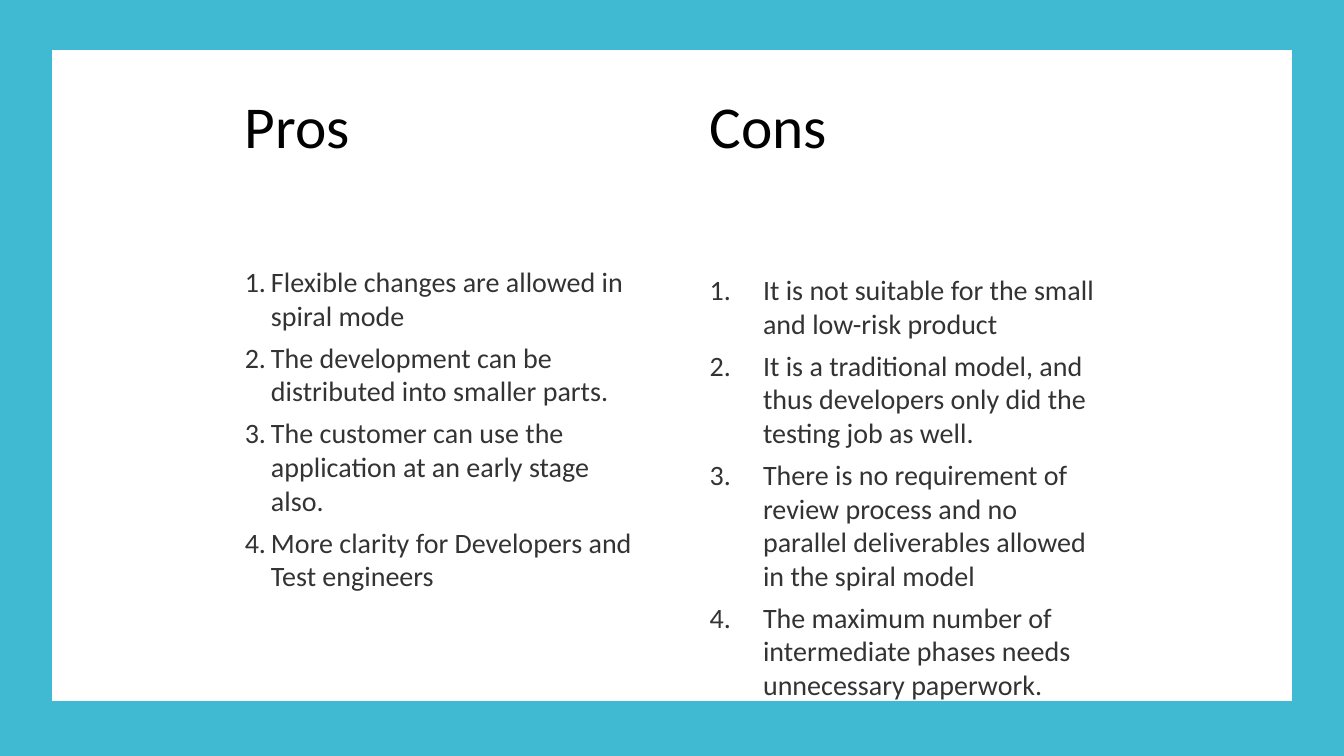
from lxml.etree import SubElement
from pptx import Presentation
from pptx.dml.color import RGBColor
from pptx.enum.shapes import MSO_SHAPE as Shape
from pptx.enum.text import MSO_ANCHOR as Anchor
from pptx.oxml.ns import qn
from pptx.util import Inches, Pt


def color(value):
    return RGBColor.from_string(value)


class ComparisonPage:
    font = "Calibri"
    teal, white, black, gray = "40BAD2", "FFFFFF", "000000", "333333"
    column_width = 4.06

    def __init__(self, deck):
        self.page = deck.slides.add_slide(deck.slide_layouts[6])

    def panel(self, left, top, width, height, fill, line=None):
        panel = self.page.shapes.add_shape(
            Shape.RECTANGLE, Inches(left), Inches(top), Inches(width), Inches(height))
        panel.shadow.inherit = False
        panel.fill.solid()
        panel.fill.fore_color.rgb = color(fill)
        if line:
            panel.line.color.rgb = color(line)
            panel.line.width = Pt(0.85)
        else:
            panel.line.fill.background()

    def text(self, left, top, height, lines, size, ink, anchor=Anchor.TOP):
        box = self.page.shapes.add_textbox(
            Inches(left), Inches(top), Inches(self.column_width), Inches(height))
        frame = box.text_frame
        frame.word_wrap = True
        frame.vertical_anchor = anchor
        frame.text = "\n".join(lines)
        for para in frame.paragraphs:
            para.space_after = Pt(6)
            for span in para.runs:
                span.font.name = self.font
                span.font.size = Pt(size)
                span.font.color.rgb = color(ink)
        return frame

    def heading(self, left, title):
        self.text(left, 0.84, 0.94, [title], 42.4, self.black)

    def numbered_list(self, left, top, items, indent):
        frame = self.text(left, top, 4.7, items, 20, self.gray, Anchor.MIDDLE)
        for para in frame.paragraphs:
            properties = para._p.get_or_add_pPr()
            properties.set("marL", str(Inches(indent)))
            properties.set("indent", str(-Inches(indent)))
            SubElement(properties, qn("a:buFont"), typeface="+mj-lt")
            SubElement(properties, qn("a:buAutoNum"), type="arabicPeriod")


# Heading, left, list top, list indent, items
COLUMNS = [
    ("Pros", 2.33, 1.9, 0.26, [
        "Flexible changes are allowed in spiral mode",
        "The development can be distributed into smaller parts.",
        "The customer can use the application at an early stage also.",
        "More clarity for Developers and Test engineers",
    ]),
    ("Cons", 6.94, 2.48, 0.53, [
        "It is not suitable for the small and low-risk product",
        "It is a traditional model, and thus developers only did the testing job as well.",
        "There is no requirement of review process and no parallel deliverables "
        "allowed in the spiral model",
        "The maximum number of intermediate phases needs unnecessary paperwork.",
    ]),
]


def main():
    deck = Presentation()
    deck.slide_width, deck.slide_height = Inches(13.33), Inches(7.5)
    page = ComparisonPage(deck)

    # Teal frame around a white panel
    page.panel(0, 0, 13.33, 7.5, page.teal)
    page.panel(0.52, 0.5, 12.29, 6.45, page.white, line=page.white)

    # Pros and cons columns
    for title, left, list_top, indent, items in COLUMNS:
        page.heading(left, title)
        page.numbered_list(left, list_top, items, indent)

    deck.save("out.pptx")


if __name__ == "__main__":
    main()
